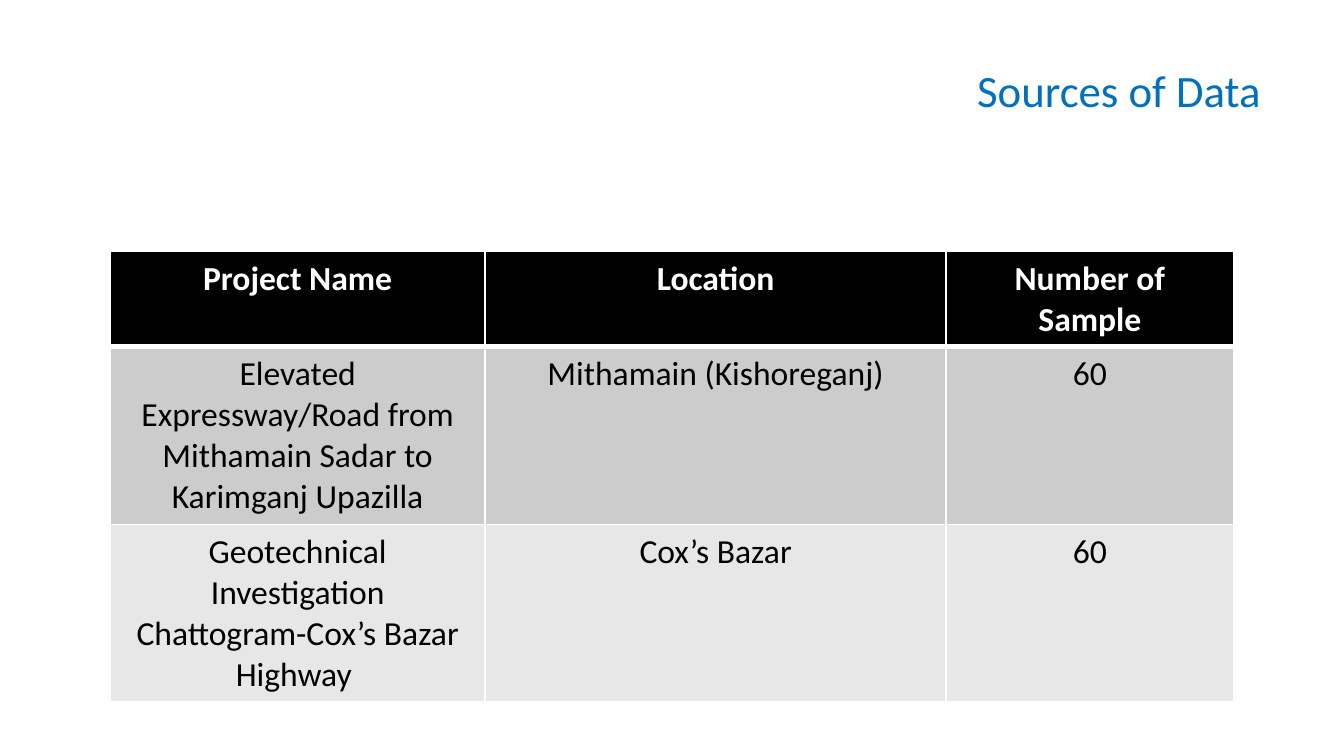
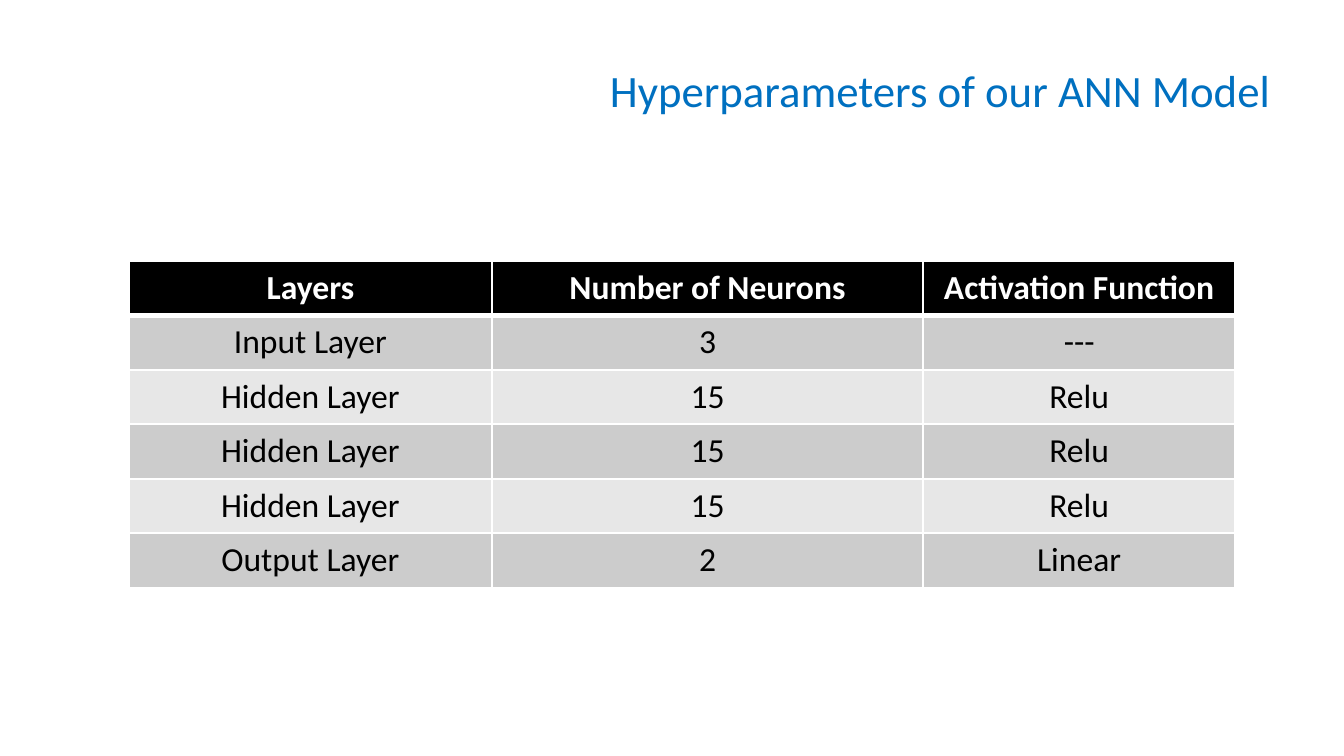
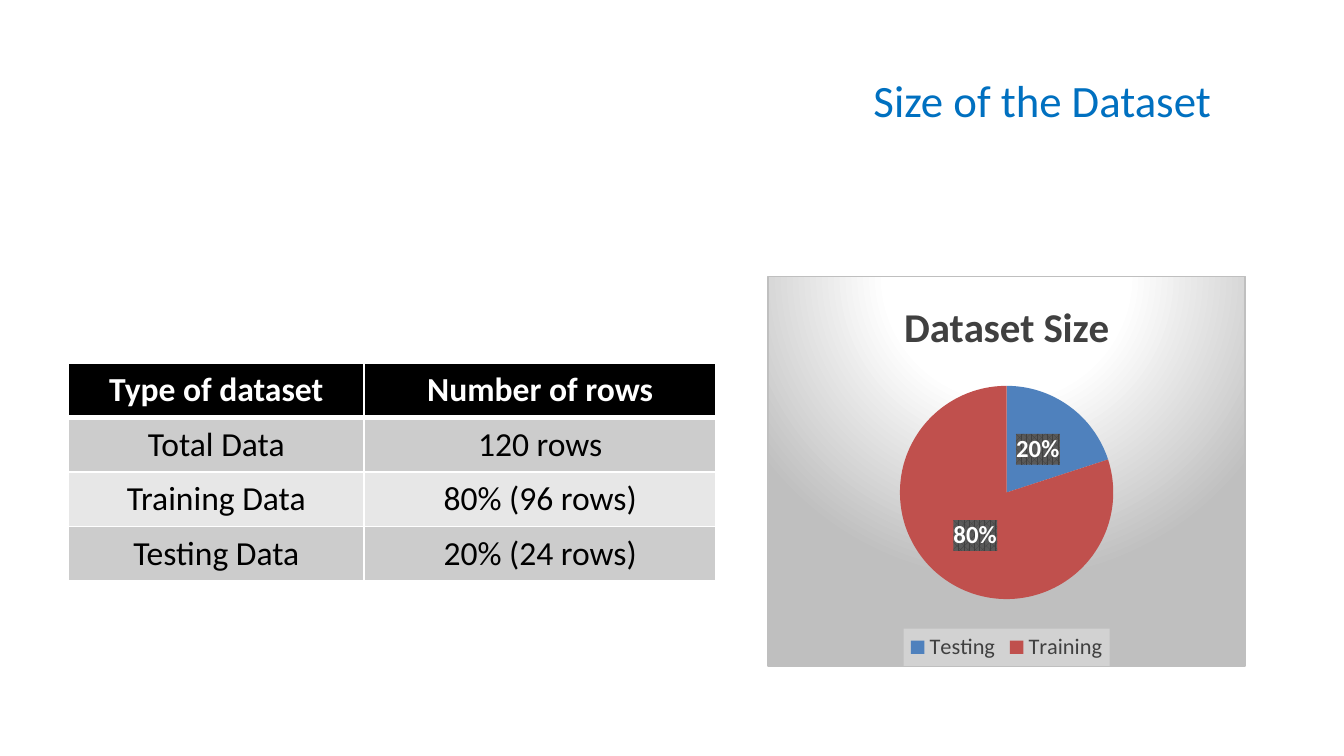
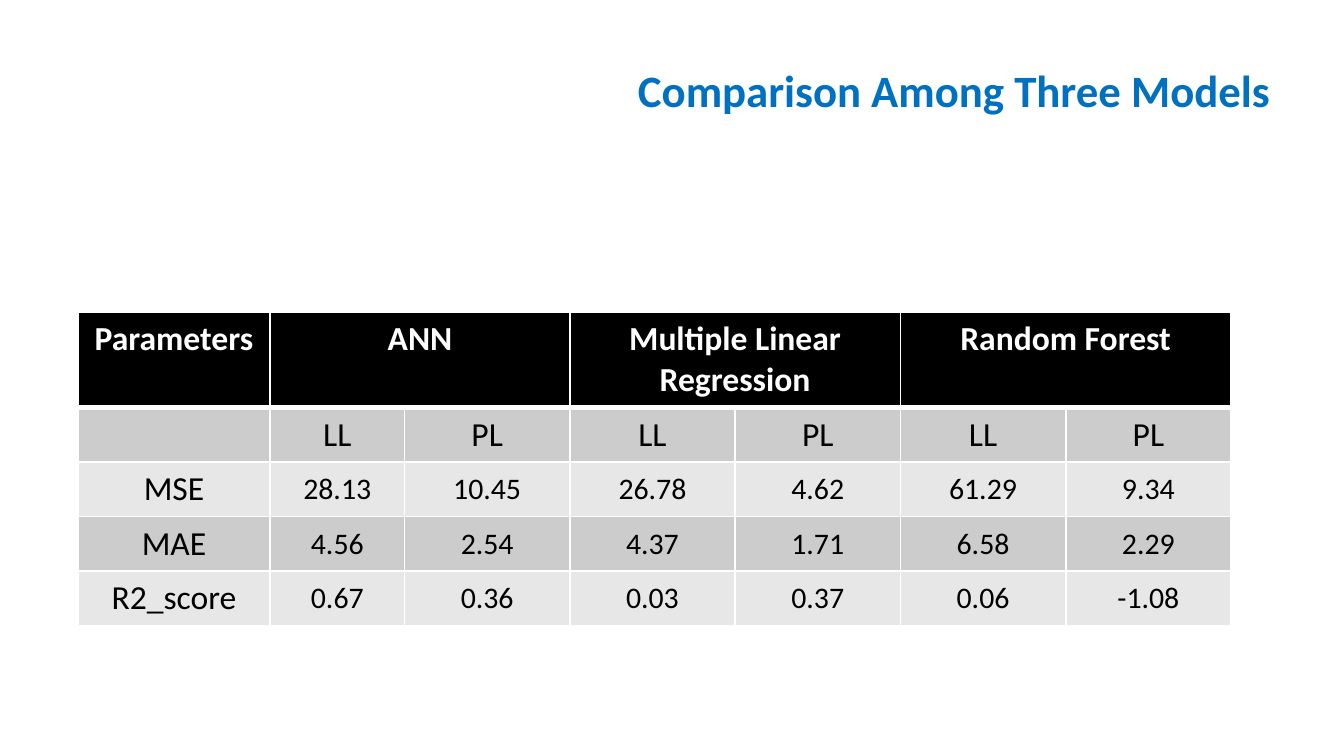
import pptx
import pptx.util
import pptx.oxml
import pptx.oxml.ns
import pptx.chart.data
import pptx.dml.color
import pptx.enum.chart
import pptx.enum.text

Inches = pptx.util.Inches
Pt = pptx.util.Pt

FONT = "Calibri"
WHITE, BLACK, TITLE_BLUE = "FFFFFF", "000000", "0070C0"
CHART_TEXT, CHART_EDGE = "404040", "BFBFBF"
STRIPES = ("CCCCCC", "E7E7E7")

TITLE_FORMAT = {"size": Pt(24), "name": FONT, "bold": False}
HEADER_FORMAT = {"size": Pt(18), "name": FONT, "bold": True}
BODY_FORMAT = {"size": Pt(18), "name": FONT, "bold": False}
METRIC_FORMAT = {"size": Pt(16), "name": FONT, "bold": False}
METRIC_INSETS = {
    "margin_left": Inches(0.01), "margin_top": Inches(0.01),
    "margin_right": Inches(0.01), "margin_bottom": 0,
    "vertical_anchor": pptx.enum.text.MSO_ANCHOR.MIDDLE,
}
ROW_HEIGHT = 0.4  # rows grow to fit their text

# In a table row, None continues the cell to its left.
# "metrics_from" is the row and column where the smaller numbers start.
SLIDES = [
    {
        "title": "Sources of Data",
        "title_at": (5.42, 0.25, 4.06, 0.84),
        "table_at": (0.82, 1.87),
        "columns": [2.79, 3.43, 2.14],
        "rows": [
            ("Project Name", "Location", "Number of Sample"),
            ("Elevated Expressway/Road from Mithamain Sadar to Karimganj Upazilla",
             "Mithamain (Kishoreganj)", "60"),
            ("Geotechnical Investigation Chattogram-Cox’s Bazar Highway ",
             "Cox’s Bazar", "60"),
        ],
    },
    {
        "title": "Hyperparameters of our ANN Model",
        "title_at": (0.52, 0.25, 9.03, 0.84),
        "table_at": (0.96, 1.94),
        "columns": [2.7, 3.21, 2.32],
        "rows": [
            ("Layers", "Number of Neurons", "Activation Function"),
            ("Input Layer", "3", "---"),
            ("Hidden Layer", "15", "Relu"),
            ("Hidden Layer", "15", "Relu"),
            ("Hidden Layer", "15", "Relu"),
            ("Output Layer", "2", "Linear"),
        ],
    },
    {
        "title": "Size of the Dataset",
        "title_at": (4.92, 0.32, 4.19, 0.84),
        "table_at": (0.51, 2.7),
        "columns": [2.2, 2.62],
        "rows": [
            ("Type of dataset", "Number of rows"),
            ("Total Data", "120 rows"),
            ("Training Data", "80% (96 rows)"),
            ("Testing Data", "20% (24 rows)"),
        ],
        "chart": {
            "title": "Dataset Size",
            "at": (5.71, 2.05, 3.56, 2.91),
            "slices": [("Testing", 20, "4F81BD"), ("Training", 80, "C0504D")],
        },
    },
    {
        "title": "Comparison Among Three Models",
        "title_at": (0.52, 0.25, 9.03, 0.84),
        "title_bold": True,
        "table_at": (0.58, 2.32),
        "columns": [1.43, 1] + [1.23] * 5,
        "metrics_from": (2, 1),
        "rows": [
            ("Parameters", "ANN", None, "Multiple Linear Regression", None,
             "Random Forest", None),
            ("", "LL", "PL", "LL", "PL", "LL", "PL"),
            ("MSE", "28.13", "10.45", "26.78", "4.62", "61.29", "9.34"),
            ("MAE", "4.56", "2.54", "4.37", "1.71", "6.58", "2.29"),
            ("R2_score", "0.67", "0.36", "0.03", "0.37", "0.06", "-1.08"),
        ],
    },
]

CHART_BACKGROUND = f"""
<a:gradFill><a:gsLst>
  <a:gs pos="0"><a:srgbClr val="{WHITE}"/></a:gs>
  <a:gs pos="39000"><a:srgbClr val="{WHITE}"/></a:gs>
  <a:gs pos="100000"><a:srgbClr val="{CHART_EDGE}"/></a:gs>
</a:gsLst><a:path path="circle">
  <a:fillToRect l="50000" t="-80000" r="50000" b="180000"/>
</a:path></a:gradFill>
<a:ln w="9525"><a:solidFill><a:srgbClr val="{CHART_EDGE}"/></a:solidFill></a:ln>"""
LEGEND_BACKGROUND = """
<a:solidFill><a:srgbClr val="F2F2F2"><a:alpha val="39000"/></a:srgbClr></a:solidFill>"""
LABEL_BACKGROUND = """
<a:pattFill prst="pct75"><a:fgClr><a:srgbClr val="404040"/></a:fgClr>
<a:bgClr><a:srgbClr val="595959"/></a:bgClr></a:pattFill>"""


def color(value):
    return pptx.dml.color.RGBColor.from_string(value)


def set_values(target, values):
    for name, value in values.items():
        setattr(target, name, value)


def format_font(font, values, font_color):
    set_values(font, values)
    font.color.rgb = color(font_color)


def write_text(frame, text, alignment, values, font_color):
    para = frame.paragraphs[0]
    para.alignment = alignment
    if text:
        span = para.add_run()
        span.text = text
        format_font(span.font, values, font_color)


def add_title(page, content):
    title = page.shapes.title
    bounds = map(Inches, content["title_at"])
    set_values(title, dict(zip(("left", "top", "width", "height"), bounds)))
    title.text_frame.vertical_anchor = pptx.enum.text.MSO_ANCHOR.MIDDLE
    values = {**TITLE_FORMAT, "bold": content.get("title_bold", False)}
    write_text(title.text_frame, content["title"],
               pptx.enum.text.PP_ALIGN.RIGHT, values, TITLE_BLUE)


def add_borders(cell, bottom_width):
    """Draw white cell edges; call before setting the fill, which follows them."""
    properties = cell._tc.get_or_add_tcPr()
    for side, width in (("L", 1), ("R", 1), ("T", 1), ("B", bottom_width)):
        properties.append(pptx.oxml.parse_xml(
            f'<a:ln{side} {pptx.oxml.ns.nsdecls("a")} w="{Pt(width)}"><a:solidFill>'
            f'<a:srgbClr val="{WHITE}"/></a:solidFill></a:ln{side}>'))


def add_table(page, content):
    rows, columns = content["rows"], content["columns"]
    left, top = content["table_at"]
    table = page.shapes.add_table(
        len(rows), len(columns), Inches(left), Inches(top),
        Inches(sum(columns)), Inches(ROW_HEIGHT * len(rows))).table
    for column, width in zip(table.columns, columns):
        column.width = Inches(width)

    metric_row, metric_column = content.get("metrics_from", (len(rows), 0))
    for r, row in enumerate(rows):
        is_header = r == 0
        for c, text in enumerate(row):
            cell = table.cell(r, c)
            add_borders(cell, 3 if is_header else 1)
            cell.fill.solid()
            cell.fill.fore_color.rgb = color(BLACK if is_header else STRIPES[(r - 1) % 2])
            if text is None:
                table.cell(r, c - 1).merge(cell)
                continue
            values = HEADER_FORMAT if is_header else BODY_FORMAT
            if r >= metric_row and c >= metric_column:
                values = METRIC_FORMAT
                set_values(cell, METRIC_INSETS)
            write_text(cell.text_frame, text, pptx.enum.text.PP_ALIGN.CENTER,
                       values, WHITE if is_header else BLACK)


def set_chart_background(chart, part, fill):
    """Give a chart part, named by its XPath, a fill ahead of its text properties."""
    text_properties = chart.element.xpath(f"{part}c:txPr")[0]
    text_properties.addprevious(pptx.oxml.parse_xml(
        f'<c:spPr {pptx.oxml.ns.nsdecls("c", "a")}>{fill}</c:spPr>'))


def add_pie(page, content):
    names, values, slice_colors = zip(*content["slices"])
    data = pptx.chart.data.CategoryChartData()
    data.categories = names
    data.add_series(content["title"], values)
    chart = page.shapes.add_chart(
        pptx.enum.chart.XL_CHART_TYPE.PIE, *map(Inches, content["at"]), data).chart
    format_font(chart.font, {"size": Pt(10), "name": FONT}, BLACK)

    chart.has_title = True
    write_text(chart.chart_title.text_frame, content["title"], None,
               {"size": Pt(22), "name": FONT, "bold": True}, CHART_TEXT)

    chart.has_legend = True
    set_values(chart.legend, {
        "position": pptx.enum.chart.XL_LEGEND_POSITION.BOTTOM,
        "include_in_layout": False,
    })
    format_font(chart.legend.font, {"size": Pt(12), "name": FONT}, CHART_TEXT)

    plot = chart.plots[0]
    plot.vary_by_categories = True
    series = plot.series[0]
    for index, slice_color in enumerate(slice_colors):
        fill = series.points[index].format.fill
        fill.solid()
        fill.fore_color.rgb = color(slice_color)

    labels = series.data_labels
    set_values(labels, {
        "show_percentage": True, "show_value": False,
        "number_format": "0%", "number_format_is_linked": False,
        "position": pptx.enum.chart.XL_LABEL_POSITION.CENTER,
    })
    format_font(labels.font, {"size": Pt(13.3), "name": FONT, "bold": True}, WHITE)

    set_chart_background(chart, "", CHART_BACKGROUND)
    set_chart_background(chart, "c:chart/c:legend/", LEGEND_BACKGROUND)
    set_chart_background(chart, ".//c:ser/c:dLbls/", LABEL_BACKGROUND)


def main():
    deck = pptx.Presentation()
    deck.slide_width = Inches(10)
    deck.slide_height = deck.slide_width * 9 // 16
    title_only = deck.slide_layouts.get_by_name("Title Only")
    for content in SLIDES:
        page = deck.slides.add_slide(title_only)
        add_title(page, content)
        add_table(page, content)
        if "chart" in content:
            add_pie(page, content["chart"])
    deck.save("out.pptx")


if __name__ == "__main__":
    main()
